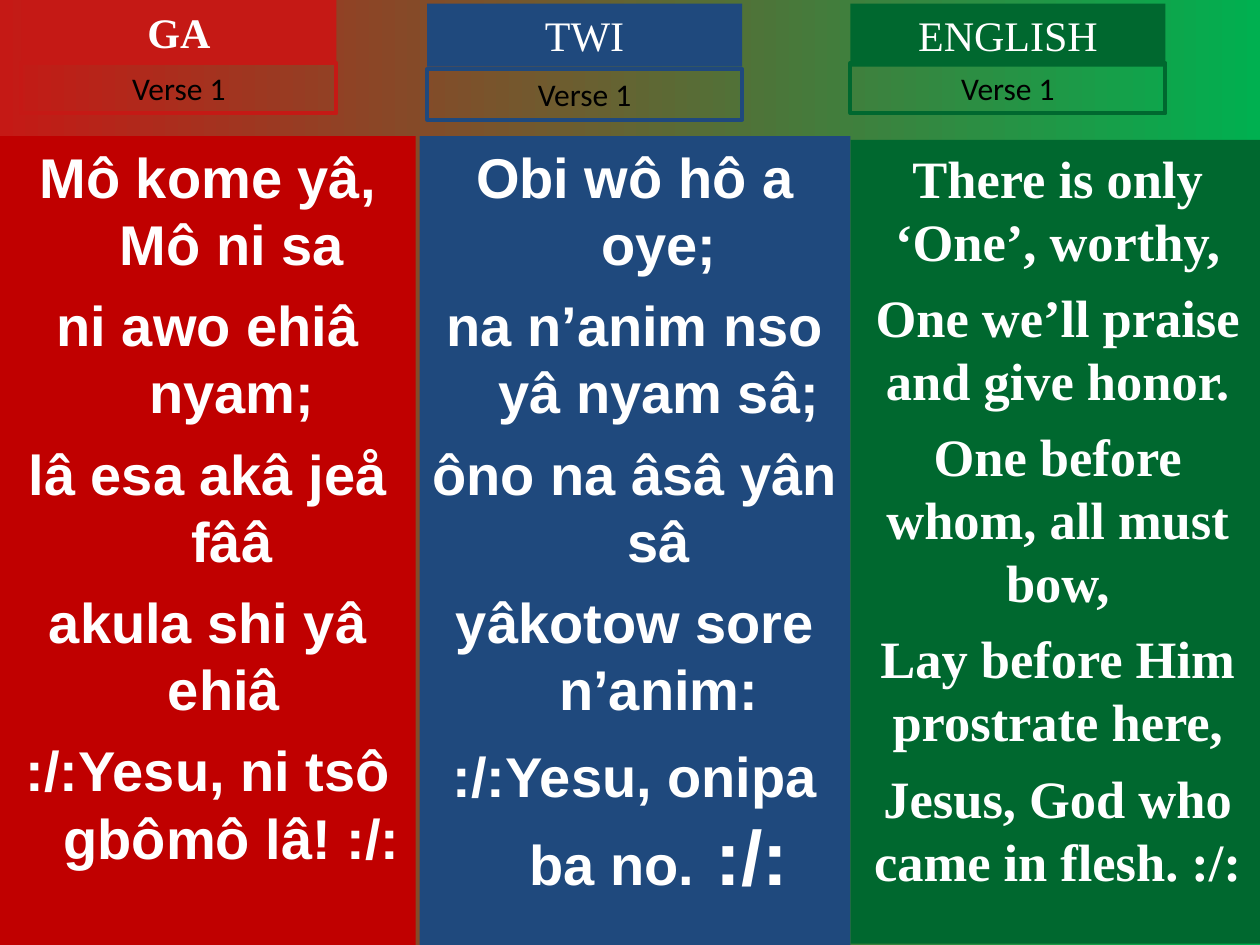
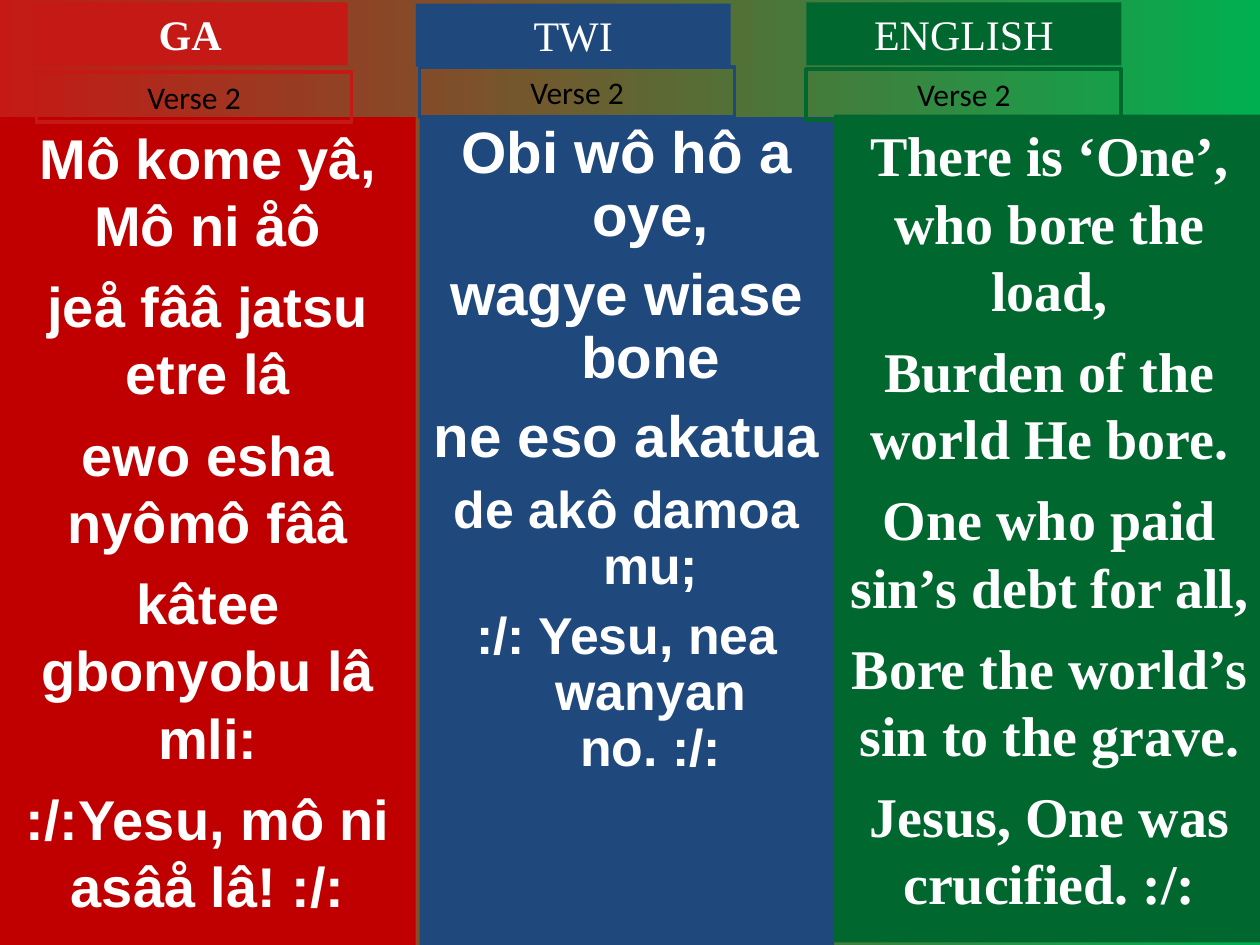
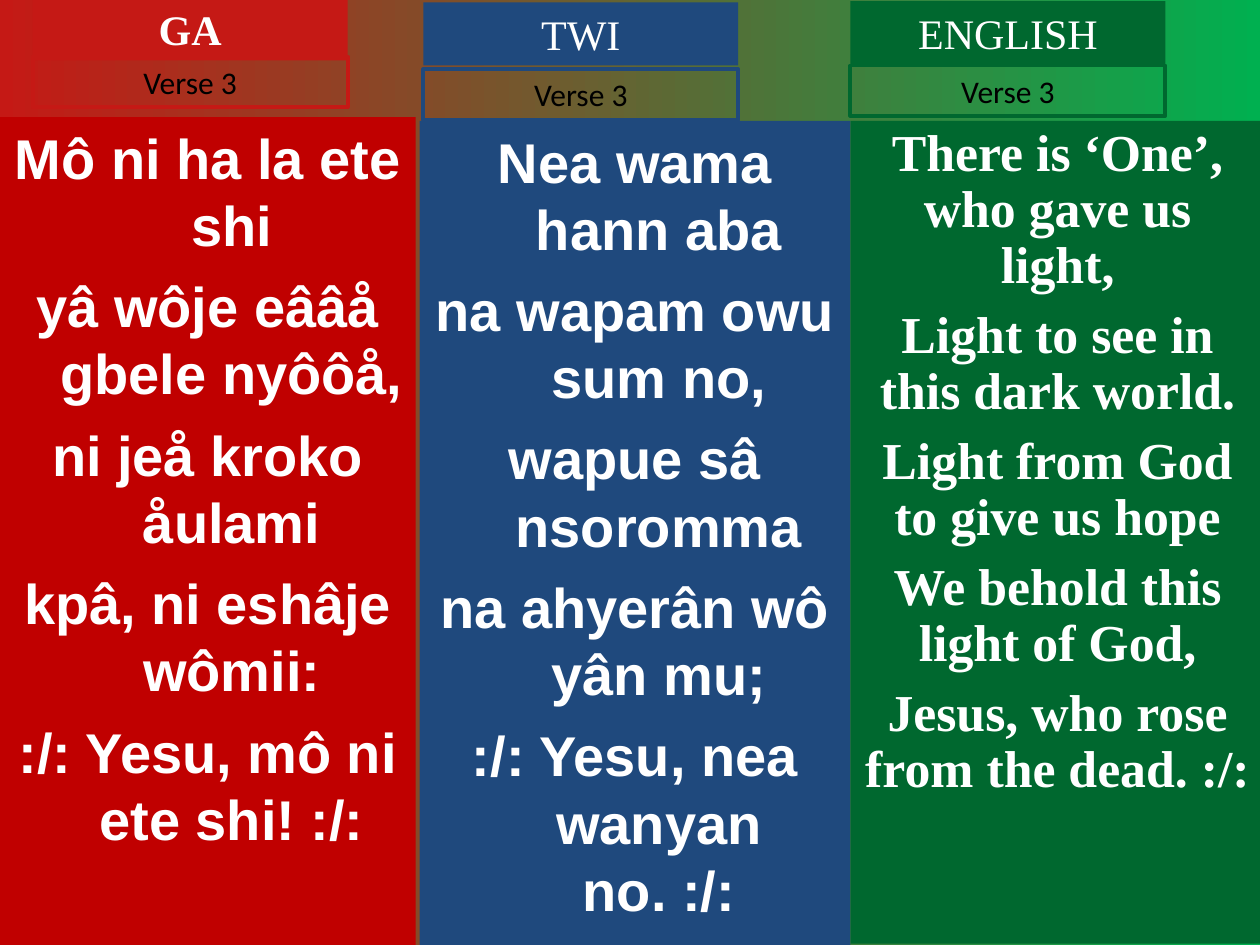
from dataclasses import dataclass

import pptx
import pptx.dml.color
import pptx.enum.shapes
import pptx.enum.text
import pptx.presentation
import pptx.shapes.autoshape
import pptx.slide
import pptx.util

PX = 9144
SLIDE_WIDTH, SLIDE_HEIGHT = 1000, 750
TAG_WIDTH, TITLE_HEIGHT, VERSE_HEIGHT = 250, 50, 40
HANGING = 38

RED = pptx.dml.color.RGBColor(0xC5, 0x19, 0x15)
DARK_RED = pptx.dml.color.RGBColor(0xC0, 0x00, 0x00)
BLUE = pptx.dml.color.RGBColor(0x1F, 0x49, 0x7D)
GREEN = pptx.dml.color.RGBColor(0x00, 0x68, 0x2F)
BRIGHT_GREEN = pptx.dml.color.RGBColor(0x00, 0xB0, 0x50)
WHITE = pptx.dml.color.RGBColor(0xFF, 0xFF, 0xFF)
BLACK = pptx.dml.color.RGBColor(0x00, 0x00, 0x00)

SANS, SERIF, LABEL = "Arial", "Times New Roman", "Calibri"


@dataclass(frozen=True)
class Box:
    left: int
    top: int
    width: int
    height: int


@dataclass(frozen=True)
class Language:
    name: str
    tag_color: pptx.dml.color.RGBColor
    panel_color: pptx.dml.color.RGBColor
    font: str
    bold_title: bool = False


@dataclass(frozen=True)
class Line:
    text: str
    size: float
    before: float
    ending: str = ""
    ending_size: float = 0


@dataclass(frozen=True)
class Column:
    language: Language
    panel: Box
    title_at: tuple[int, int]
    verse_at: tuple[int, int]
    lines: list[Line]
    hanging: int = 0
    spacing: float = 1.0


GA = Language("GA", RED, DARK_RED, SANS, bold_title=True)
TWI = Language("TWI", BLUE, BLUE, SANS)
ENGLISH = Language("ENGLISH", GREEN, GREEN, SERIF)


def lyrics(size: float, before: float, *texts: str) -> list[Line]:
    return [Line(text, size, before) for text in texts]


VERSES = [
    [
        Column(GA, Box(0, 108, 330, 642), (17, 0), (17, 50), lyrics(
            32, 8,
            "Mô kome yâ, Mô ni sa",
            "ni awo ehiâ nyam;",
            "lâ esa akâ jeå fââ",
            "akula shi yâ ehiâ ",
            ":/:Yesu, ni tsô gbômô lâ! :/:",
        ), hanging=HANGING),
        Column(TWI, Box(333, 108, 342, 642), (339, 3), (339, 55), lyrics(
            32, 8,
            "Obi wô hô a oye;",
            "na n’anim nso yâ nyam sâ;",
            "ôno na âsâ yân sâ",
            "yâkotow sore n’anim:",
        ) + [Line(":/:Yesu, onipa ba no.", 32, 11, " :/:", 44)], hanging=HANGING),
        Column(ENGLISH, Box(675, 111, 329, 638), (675, 3), (675, 50), lyrics(
            30, 7.5,
            "There is only ‘One’, worthy,",
            "One we’ll praise and give honor.",
            "One before whom, all must bow,",
            "Lay before Him prostrate here,",
            "Jesus, God who came in flesh. :/:",
        )),
    ],
    [
        Column(GA, Box(0, 93, 330, 657), (26, 2), (29, 57), lyrics(
            32, 8,
            "Mô kome yâ, Mô ni åô",
            "jeå fââ jatsu etre lâ",
            "ewo esha nyômô fââ",
            "kâtee gbonyobu lâ mli:",
            ":/:Yesu, mô ni asâå lâ! :/:",
        )),
        Column(TWI, Box(333, 93, 329, 657), (330, 3), (333, 53), lyrics(
            33.3, 9,
            "Obi wô hô a oye,",
            "wagye wiase bone",
            "ne eso akatua",
        ) + lyrics(
            29.6, 8,
            "de akô damoa mu;",
            ":/: Yesu, nea wanyan no. :/:",
        ), hanging=HANGING, spacing=0.9),
        Column(ENGLISH, Box(662, 91, 342, 657), (640, 2), (640, 55), lyrics(
            32, 8,
            "There is ‘One’, who bore the load,",
            "Burden of the world He bore.",
            "One who paid sin’s debt for all,",
            "Bore the world’s sin to the grave.",
            "Jesus, One was crucified. :/:",
        )),
    ],
    [
        Column(GA, Box(0, 93, 330, 657), (26, -2), (26, 45), lyrics(
            32, 8,
            "Mô ni ha la ete shi",
            "yâ wôje eââå gbele nyôôå,",
            "ni jeå kroko åulami",
            "kpâ, ni eshâje wômii:",
            ":/: Yesu, mô ni ete shi! :/:",
        ), hanging=HANGING),
        Column(TWI, Box(333, 96, 342, 654), (336, 2), (336, 55), lyrics(
            32, 8,
            "Nea wama hann aba",
            "na wapam owu sum no,",
            "wapue sâ nsoromma",
            "na ahyerân wô yân mu;",
            ":/: Yesu, nea wanyan no. :/:",
        ), hanging=HANGING),
        Column(ENGLISH, Box(675, 96, 329, 653), (675, 1), (675, 52), lyrics(
            29.6, 8,
            "There is ‘One’, who gave us light,",
            "Light to see in this dark world.",
            "Light from God to give us hope",
            "We behold this light of God,",
            "Jesus, who rose from the dead. :/:",
        ), spacing=0.9),
    ],
]


def add_rectangle(
    slide: pptx.slide.Slide,
    box: Box,
    *,
    fill: pptx.dml.color.RGBColor | None = None,
    line: pptx.dml.color.RGBColor | None = None,
    grows: bool = False,
) -> pptx.shapes.autoshape.Shape:
    shape = slide.shapes.add_shape(
        pptx.enum.shapes.MSO_SHAPE.RECTANGLE,
        box.left * PX, box.top * PX, box.width * PX, box.height * PX,
    )
    shape.shadow.inherit = False
    if fill is None:
        shape.fill.background()
    else:
        shape.fill.solid()
        shape.fill.fore_color.rgb = fill
    if line is None:
        shape.line.fill.background()
    else:
        shape.line.color.rgb = line
        shape.line.width = pptx.util.Pt(2.25)
    frame = shape.text_frame
    frame.word_wrap = True
    frame.vertical_anchor = pptx.enum.text.MSO_ANCHOR.TOP
    if grows:
        frame.auto_size = pptx.enum.text.MSO_AUTO_SIZE.SHAPE_TO_FIT_TEXT
    return shape


def write_lines(
    shape: pptx.shapes.autoshape.Shape,
    lines: list[Line],
    *,
    font: str,
    color: pptx.dml.color.RGBColor = WHITE,
    bold: bool = False,
    hanging: int = 0,
    spacing: float = 1.0,
) -> None:
    frame = shape.text_frame
    for index, line in enumerate(lines):
        paragraph = frame.add_paragraph() if index else frame.paragraphs[0]
        paragraph.alignment = pptx.enum.text.PP_ALIGN.CENTER
        paragraph.line_spacing = spacing
        paragraph.space_before = pptx.util.Pt(line.before if index else 0)
        if hanging:
            properties = paragraph._p.get_or_add_pPr()
            properties.set("marL", str(hanging * PX))
            properties.set("indent", str(-hanging * PX))
        for text, size in ((line.text, line.size), (line.ending, line.ending_size)):
            if text:
                run = paragraph.add_run()
                run.text = text
                run.font.name = font
                run.font.size = pptx.util.Pt(size)
                run.font.bold = bold
                run.font.color.rgb = color


def draw_column(slide: pptx.slide.Slide, column: Column, verse: int) -> None:
    language = column.language
    panel = add_rectangle(slide, column.panel, fill=language.panel_color)
    write_lines(panel, column.lines, font=language.font, bold=True,
                hanging=column.hanging, spacing=column.spacing)
    title = add_rectangle(slide, Box(*column.title_at, TAG_WIDTH, TITLE_HEIGHT),
                          fill=language.tag_color, grows=True)
    write_lines(title, lyrics(24, 0, language.name), font=SERIF, bold=language.bold_title)
    label = add_rectangle(slide, Box(*column.verse_at, TAG_WIDTH, VERSE_HEIGHT),
                          line=language.tag_color, grows=True)
    write_lines(label, lyrics(18, 0, f"Verse {verse}"), font=LABEL, color=BLACK)


def add_verse_slide(
    presentation: pptx.presentation.Presentation, verse: int, columns: list[Column]
) -> None:
    slide = presentation.slides.add_slide(presentation.slide_layouts[6])
    background = slide.background.fill
    background.gradient()
    background.gradient_angle = 0
    for stop, color in zip(background.gradient_stops, (RED, BRIGHT_GREEN)):
        stop.color.rgb = color
    for column in columns:
        draw_column(slide, column, verse)


def main() -> None:
    presentation = pptx.Presentation()
    presentation.slide_width = SLIDE_WIDTH * PX
    presentation.slide_height = SLIDE_HEIGHT * PX
    for verse, columns in enumerate(VERSES, start=1):
        add_verse_slide(presentation, verse, columns)
    presentation.save("out.pptx")


if __name__ == "__main__":
    main()
